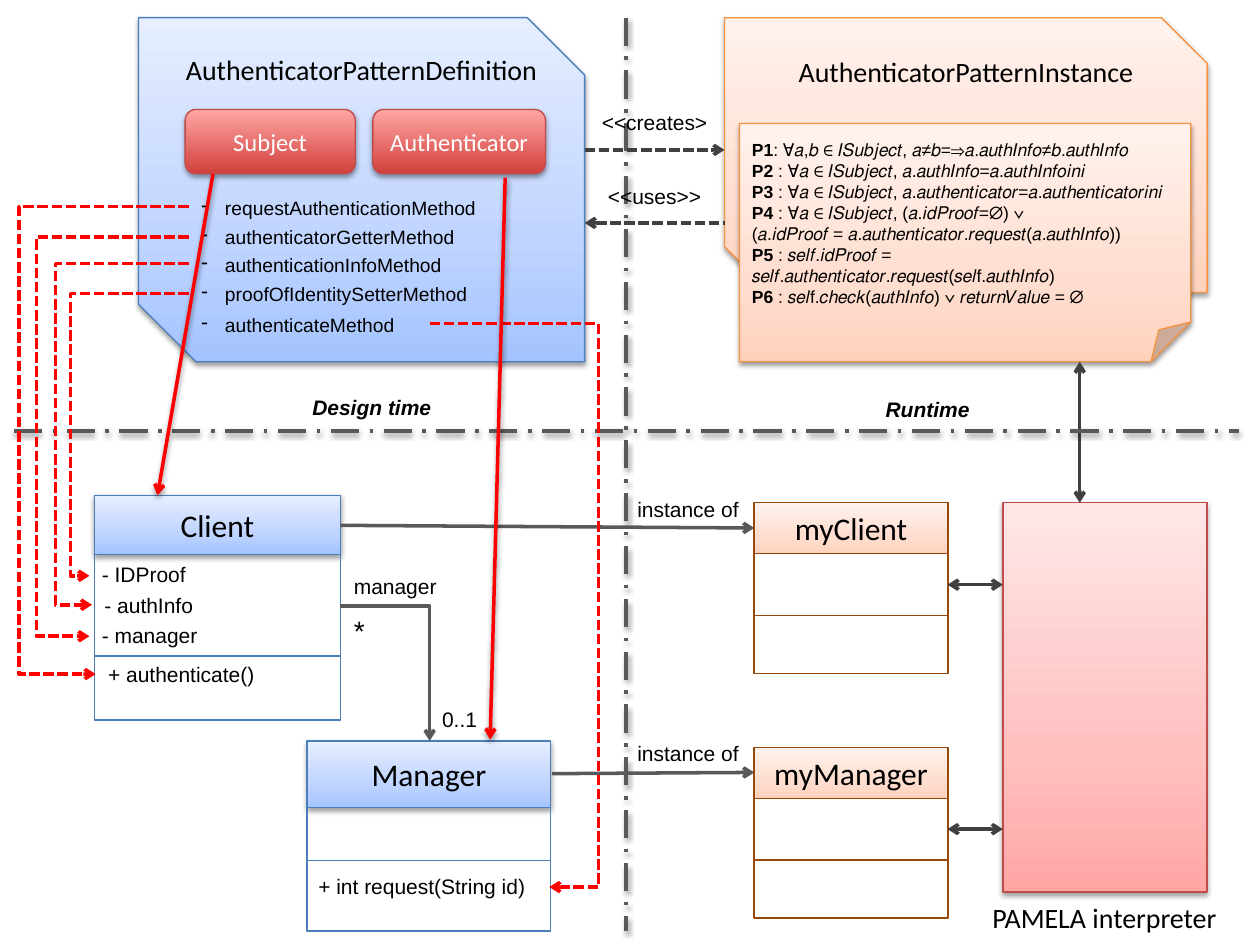
from lxml import etree
from pptx import Presentation
from pptx.dml.color import RGBColor
from pptx.enum.dml import MSO_LINE
from pptx.enum.shapes import MSO_CONNECTOR, MSO_SHAPE
from pptx.enum.text import MSO_ANCHOR, PP_ALIGN
from pptx.oxml.ns import qn
from pptx.util import Pt

RECTANGLE = MSO_SHAPE.RECTANGLE
SNIPPED = MSO_SHAPE.SNIP_2_DIAG_RECTANGLE
NOTE = MSO_SHAPE.FOLDED_CORNER
ROUNDED = MSO_SHAPE.FLOWCHART_ALTERNATE_PROCESS
STRAIGHT, ELBOW = MSO_CONNECTOR.STRAIGHT, MSO_CONNECTOR.ELBOW
DASHED, DASH_DOT = MSO_LINE.SQUARE_DOT, MSO_LINE.LONG_DASH_DOT
LEFT, CENTER = PP_ALIGN.LEFT, PP_ALIGN.CENTER
TOP, MIDDLE = MSO_ANCHOR.TOP, MSO_ANCHOR.MIDDLE

COLORS = {"black": "000000", "white": "FFFFFF", "red": "FF0000", "grey": "595959",
          "dark": "404040", "blue": "4B7EBC", "orange": "F69240", "brown": "984807",
          "crimson": "BF4C48"}
GRADIENTS = {
    "blue": ((0, "A4C4FF"), (35, "BFD4FF"), (100, "E6EEFF")),
    "orange": ((0, "FFD2BD"), (35, "FFDED0"), (100, "FFF2ED")),
    "pink": ((0, "FFA6A5"), (35, "FFC0BF"), (100, "FFE7E7")),
    "red": ((0, "D1403C"), (100, "FFA6A5")),
}
# Mathematical italic letters; "F" stands for an upright f.
ITALIC = {ord("a") + i: chr(0x1D44E + i) for i in range(26)}
ITALIC |= {ord("A") + i: chr(0x1D434 + i) for i in range(26)}
ITALIC |= {ord("h"): "\u210e", ord("F"): "f"}

PROPERTIES = (
    ("P1", ": ∀a,b ∈ ISubject, a≠b=⇒a.authInfo≠b.authInfo"),
    ("P2", " : ∀a ∈ ISubject, a.authInfo=a.authInfoini"),
    ("P3", " : ∀a ∈ ISubject, a.authenticator=a.authenticatorini"),
    ("P4", " : ∀a ∈ ISubject, (a.idProof=∅) ∨ "),
    ("", "(a.idProof = a.authenticator.request(a.authInfo))"),
    ("P5", " : self.idProof = self.authenticator.request(selF.authInfo)"),
    ("P6", " : selF.check(authInfo) ∨ returnValue = ∅"),
)
METHODS = (("requestAuthenticationMethod", 97.2), ("authenticatorGetterMethod", 113.8),
           ("authenticationInfoMethod", 129.6), ("proofOfIdentitySetterMethod", 146.2),
           ("authenticateMethod", 164.2))
CLIENT_MEMBERS = (("- IDProof", -2.9, 34.5), ("- authInfo", -1.4, 51.8),
                  ("- manager", -2.9, 69.1), ("+ authenticate()", 0.7, 91.4))
MANAGER_MEMBERS = (("+ int request(String id)", -0.7, 72),)


def color(name):
    """Return the named colour."""
    return RGBColor.from_string(COLORS[name])


def add_shadow(effects):
    """Put a soft shadow below into an effect list."""
    shadow = etree.SubElement(effects, qn("a:outerShdw"), blurRad=str(Pt(3.1)),
                              dist=str(Pt(1.6)), dir="5400000", rotWithShape="0")
    black = etree.SubElement(shadow, qn("a:srgbClr"), val=COLORS["black"])
    etree.SubElement(black, qn("a:alpha"), val="38000")


def add_run(paragraph, text, size, font="Arial", ink="black", bold=False, italic=False):
    """Add one formatted run."""
    run = paragraph.add_run()
    run.text = text
    run.font.name, run.font.size = font, Pt(size)
    run.font.bold, run.font.italic = bold, italic
    run.font.color.rgb = color(ink)


def add_box(slide, kind, box, line, gradient=None, shadow=False, text="", size=18,
            ink="black", anchor=MIDDLE):
    """Add a preset shape with optional gradient, shadow and centred text."""
    shape = slide.shapes.add_shape(kind, *map(Pt, box))
    shape.shadow.inherit = False
    shape.line.color.rgb, shape.line.width = color(line), Pt(0.75)
    properties = shape._element.spPr
    if gradient:
        shape.fill.gradient()
        shape.fill.gradient_angle = 90
        stops = properties.find(qn("a:gradFill")).find(qn("a:gsLst"))
        stops.clear()
        for position, value in GRADIENTS[gradient]:
            stop = etree.SubElement(stops, qn("a:gs"), pos=str(position * 1000))
            etree.SubElement(stop, qn("a:srgbClr"), val=value)
    else:
        shape.fill.background()
    if shadow:
        add_shadow(properties.find(qn("a:effectLst")))
    shape.text_frame.vertical_anchor = anchor
    if text:
        paragraph = shape.text_frame.paragraphs[0]
        paragraph.alignment = CENTER
        add_run(paragraph, text, size, "Calibri", ink)
    return shape


def add_label(slide, text, left, top, width, size=12, font="Arial", align=LEFT,
              wrap=True, strong=False):
    """Add a one-line text box and return its paragraph."""
    label = slide.shapes.add_textbox(Pt(left), Pt(top), Pt(width), Pt(size * 1.2 + 7.2))
    label.text_frame.word_wrap = wrap
    paragraph = label.text_frame.paragraphs[0]
    paragraph.alignment = align
    add_run(paragraph, text, size, font, bold=strong, italic=strong)
    return paragraph


def add_line(slide, start, end, ink, dash=None, head=False, tail=True, shadow=False,
             kind=STRAIGHT):
    """Add a connector with open arrowheads."""
    line = slide.shapes.add_connector(kind, *map(Pt, start + end))
    line.line.color.rgb, line.line.width = color(ink), Pt(2)
    if dash:
        line.line.dash_style = dash
    properties = line._element.spPr
    outline = properties.find(qn("a:ln"))
    for tag, wanted in (("a:headEnd", head), ("a:tailEnd", tail)):
        if wanted:
            etree.SubElement(outline, qn(tag), type="arrow")
    effects = etree.SubElement(properties, qn("a:effectLst"))
    if shadow:
        add_shadow(effects)
    return line


def add_detour(slide, start, end, turn):
    """Add a dashed red elbow whose upright part stands at x = turn."""
    line = add_line(slide, start, end, "red", DASHED, kind=ELBOW)
    ratio = (turn - start[0]) / (end[0] - start[0])
    adjustments = line._element.spPr.find(qn("a:prstGeom")).find(qn("a:avLst"))
    etree.SubElement(adjustments, qn("a:gd"), name="adj1",
                     fmla=f"val {round(ratio * 100000)}")


def draw_instance(slide, left, top):
    """Draw the pattern instance with its note of properties."""
    add_box(slide, SNIPPED, (left, top, 275.8, 157), "orange", "orange", True)
    add_label(slide, "AuthenticatorPatternInstance", left + 35.3, top + 17.3, 210.2, 16,
              "Calibri", wrap=False)
    note = add_box(slide, NOTE, (left + 8.6, top + 60.5, 257.8, 136.1), "orange",
                   "orange", True)
    frame = note.text_frame
    for index, (name, formula) in enumerate(PROPERTIES):
        paragraph = frame.add_paragraph() if index else frame.paragraphs[0]
        paragraph.alignment = LEFT
        if name:
            add_run(paragraph, name, 10, bold=True)
        add_run(paragraph, formula.translate(ITALIC), 10)


def draw_definition(slide, left, top):
    """Draw the pattern definition with its roles and methods."""
    add_box(slide, SNIPPED, (left, top, 254.9, 196.6), "blue", "blue", True,
            "AuthenticatorPatternDefinition", 16, anchor=TOP)
    for role, offset, width in (("Subject", 26.6, 97.2), ("Authenticator", 133.9, 98.6)):
        add_box(slide, ROUNDED, (left + offset, top + 52.5, width, 36.7), "crimson",
                "red", True, role, 14, "white")
    for method, offset in METHODS:
        paragraph = add_label(slide, method, left + 28.8, top + offset, 199.4, 11)
        paragraph.line_spacing = 1.1
        settings = paragraph._p.get_or_add_pPr()
        settings.set("marL", str(Pt(13.5)))
        settings.set("indent", str(-Pt(13.5)))
        etree.SubElement(settings, qn("a:buChar"), char="-")


def draw_class(slide, left, top, width, heights, name, line, gradient, shadow=False,
               members=()):
    """Draw a class: a header, two compartments and the members."""
    y = top
    for index, height in enumerate(heights):
        box = (left, y, width, height)
        if index:
            add_box(slide, RECTANGLE, box, line)
        else:
            add_box(slide, RECTANGLE, box, line, gradient, shadow, name)
        y += height
    for text, x_offset, y_offset in members:
        add_label(slide, text, left + x_offset, top + y_offset, 139)


def draw_interpreter(slide, left, top):
    """Draw the interpreter, its caption and its two-way links."""
    add_box(slide, RECTANGLE, (left, top, 116.6, 222.5), "crimson", "pink", True)
    add_label(slide, "PAMELA interpreter", left - 18.7, top + 223.9, 153.4, 16,
              "Calibri", CENTER)
    for y in (top + 46.8, top + 186.5):
        add_line(slide, (left - 31.6, y), (left, y), "dark", head=True)
    add_line(slide, (left + 43.9, top - 80.6), (left + 43.9, top), "dark", head=True)


def draw_relations(slide):
    """Draw the dividers, the associations and the red mappings."""
    for start, end in (((7.9, 246.2), (707.8, 246.2)), ((357.8, 10.1), (357.8, 532))):
        add_line(slide, start, end, "grey", DASH_DOT, tail=False, shadow=True)
    manager = add_line(slide, (194.4, 346.3), (245.5, 423.4), "grey", kind=ELBOW)
    manager._element.spPr.find(qn("a:prstGeom")).set("prst", "bentConnector2")
    add_line(slide, (194.4, 300.2), (431, 301.7), "grey")
    add_line(slide, (315.4, 442.1), (431, 441.4), "grey")
    add_line(slide, (334.1, 85.7), (414, 85.7), "dark", DASHED)
    add_line(slide, (334.1, 127.4), (414, 127.4), "dark", DASHED, True, False)
    for y, end, turn in ((118.1, (54.7, 385.2), 10.8), (135.4, (51.1, 363.6), 20.9),
                         (150.5, (52.6, 345.6), 31.7), (167.8, (51.1, 329), 40.3)):
        add_detour(slide, (108, y), end, turn)
    add_detour(slide, (245.5, 185), (313.9, 506.9), 342)
    for start, end in (((121.7, 99.4), (90, 283)), ((288.7, 101.5), (280.1, 422.6))):
        add_line(slide, start, end, "red", shadow=True)
    for text, left, top, width in (("manager", 195.1, 324, 73.4), ("0..1", 245.5, 400.3, 40),
                                   ("instance of", 357.1, 280.1, 80),
                                   ("instance of", 357.1, 419.8, 80)):
        add_label(slide, text, left, top, width)
    add_label(slide, "*", 195.1, 347, 20.9, 16, wrap=False)
    for text, top in (("<<creates>", 59), ("<<uses>>", 101.5)):
        add_label(slide, text, 334.1, top, 79.9, align=CENTER)
    for text, left, top in (("Design time", 171.4, 221.8), ("Runtime", 499, 223.2)):
        add_label(slide, text, left, top, 88.6, strong=True)


presentation = Presentation()
presentation.slide_width, presentation.slide_height = Pt(720), Pt(540)
slide = presentation.slides.add_slide(presentation.slide_layouts[6])
draw_instance(slide, 414, 10.1)
draw_class(slide, 54, 283, 140.4, (33.8, 58, 36.7), "Client", "blue", "blue", True,
           CLIENT_MEMBERS)
draw_class(slide, 175.5, 423.4, 139.3, (38.2, 30.2, 40.3), "Manager", "blue", "blue", True,
           MANAGER_MEMBERS)
draw_definition(slide, 79.2, 10.1)
for name, top in (("myClient", 287.3), ("myManager", 427)):
    draw_class(slide, 430.9, top, 110.9, (29.2, 35.3, 33.1), name, "brown", "orange")
draw_interpreter(slide, 573.1, 287.3)
draw_relations(slide)
presentation.save("out.pptx")
